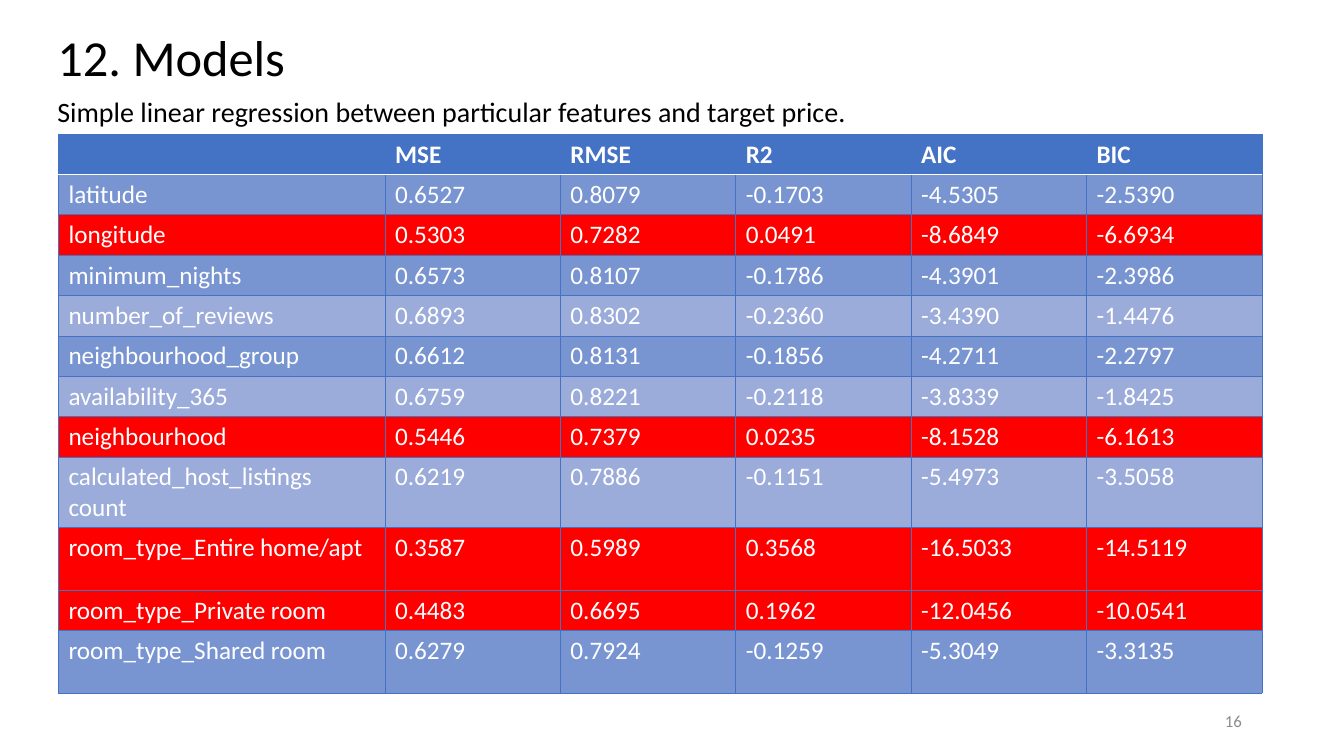
from dataclasses import dataclass

from lxml.etree import SubElement
from pptx import Presentation
from pptx.dml.color import RGBColor
from pptx.enum.text import MSO_ANCHOR as Anchor, MSO_AUTO_SIZE as AutoSize, PP_ALIGN as Align
from pptx.oxml.ns import qn
from pptx.table import _Cell as Cell
from pptx.text.text import TextFrame
from pptx.util import Pt

BLACK = RGBColor(0x00, 0x00, 0x00)
WHITE = RGBColor(0xFF, 0xFF, 0xFF)
GREY = RGBColor(0x8C, 0x8C, 0x8C)
BLUE = RGBColor(0x44, 0x72, 0xC4)
DARK_BAND = RGBColor(0x78, 0x94, 0xD1)
LIGHT_BAND = RGBColor(0x9B, 0xAB, 0xDA)
RED = RGBColor(0xFF, 0x00, 0x00)

LINE_HEIGHT = 28.8
TALL_HEIGHT = 44.64
TWO_LINE_HEIGHT = 50.4


@dataclass(frozen=True)
class Model:
    feature: str
    scores: str
    best: bool = False
    height: float = LINE_HEIGHT


METRICS = ["", "MSE", "RMSE", "R2", "AIC", "BIC"]
MODELS = [
    Model("latitude", "0.6527 0.8079 -0.1703 -4.5305 -2.5390"),
    Model("longitude", "0.5303 0.7282 0.0491 -8.6849 -6.6934", best=True),
    Model("minimum_nights", "0.6573 0.8107 -0.1786 -4.3901 -2.3986"),
    Model("number_of_reviews", "0.6893 0.8302 -0.2360 -3.4390 -1.4476"),
    Model("neighbourhood_group", "0.6612 0.8131 -0.1856 -4.2711 -2.2797"),
    Model("availability_365", "0.6759 0.8221 -0.2118 -3.8339 -1.8425"),
    Model("neighbourhood", "0.5446 0.7379 0.0235 -8.1528 -6.1613", best=True),
    Model("calculated_host_listings\ncount", "0.6219 0.7886 -0.1151 -5.4973 -3.5058",
          height=TWO_LINE_HEIGHT),
    Model("room_type_Entire home/apt", "0.3587 0.5989 0.3568 -16.5033 -14.5119",
          best=True, height=TALL_HEIGHT),
    Model("room_type_Private room", "0.4483 0.6695 0.1962 -12.0456 -10.0541", best=True),
    Model("room_type_Shared room", "0.6279 0.7924 -0.1259 -5.3049 -3.3135",
          height=TALL_HEIGHT),
]


def write(frame: TextFrame, text: str, size: float, color: RGBColor,
          bold: bool = False, align: Align = Align.LEFT) -> None:
    frame.text = text
    font_format = {"name": "Calibri", "size": Pt(size), "bold": bold}
    for paragraph in frame.paragraphs:
        paragraph.alignment = align
        for attribute, value in font_format.items():
            setattr(paragraph.font, attribute, value)
        paragraph.font.color.rgb = color


def add_border(cell: Cell, side: str, color: RGBColor, width: float) -> None:
    properties = cell._tc.get_or_add_tcPr()
    line = SubElement(properties, qn(f"a:ln{side}"), w=str(Pt(width)))
    SubElement(SubElement(line, qn("a:solidFill")), qn("a:srgbClr"), val=str(color))


def fill_cell(cell: Cell, text: str, row: int, color: RGBColor) -> None:
    for side in "LRTB":
        under_header = (row, side) in ((0, "B"), (1, "T"))
        add_border(cell, side, *((WHITE, 1) if under_header else (BLUE, 0.5)))
    cell.fill.solid()
    cell.fill.fore_color.rgb = color
    write(cell.text_frame, text, 18, WHITE, bold=row == 0)


def model_color(row: int, model: Model) -> RGBColor:
    if model.best:
        return RED
    return DARK_BAND if row % 2 else LIGHT_BAND


def main() -> None:
    deck = Presentation()
    deck.slide_width, deck.slide_height = Pt(960), Pt(540)
    slide = deck.slides.add_slide(deck.slide_layouts[5])

    # Title
    title = slide.shapes.title
    title_place = {"left": 33.84, "top": 20.88, "width": 588.24, "height": 45.36}
    for attribute, value in title_place.items():
        setattr(title, attribute, Pt(value))
    write(title.text_frame, "12. Models", 36, BLACK)
    title_format = {"vertical_anchor": Anchor.BOTTOM, "auto_size": AutoSize.NONE,
                    "word_wrap": True}
    for attribute, value in title_format.items():
        setattr(title.text_frame, attribute, value)
    title.text_frame.paragraphs[0].line_spacing = 0.9

    # Subtitle
    subtitle = slide.shapes.add_textbox(Pt(33.84), Pt(64.08), Pt(788.4), Pt(31.68)).text_frame
    subtitle.word_wrap = True
    subtitle.auto_size = AutoSize.SHAPE_TO_FIT_TEXT
    write(subtitle, "Simple linear regression between particular features and target price.",
          20, BLACK)

    # Model scores
    heights = [LINE_HEIGHT] + [model.height for model in MODELS]
    scores = slide.shapes.add_table(len(heights), len(METRICS), Pt(41.76), Pt(95.76),
                                    Pt(858.24), Pt(sum(heights))).table
    for index, column in enumerate(scores.columns):
        column.width = Pt(125.28 if index else 233.28)
    for table_row, height in zip(scores.rows, heights):
        table_row.height = Pt(height)
    for index, metric in enumerate(METRICS):
        fill_cell(scores.cell(0, index), metric, 0, BLUE)
    for row, model in enumerate(MODELS, start=1):
        for index, text in enumerate([model.feature, *model.scores.split()]):
            fill_cell(scores.cell(row, index), text, row, model_color(row, model))

    # Slide number
    number = slide.shapes.add_textbox(Pt(678.24), Pt(500.4), Pt(216), Pt(28.8)).text_frame
    number.word_wrap = True
    number.vertical_anchor = Anchor.MIDDLE
    write(number, "16", 12, GREY, align=Align.RIGHT)

    deck.save("out.pptx")


if __name__ == "__main__":
    main()
